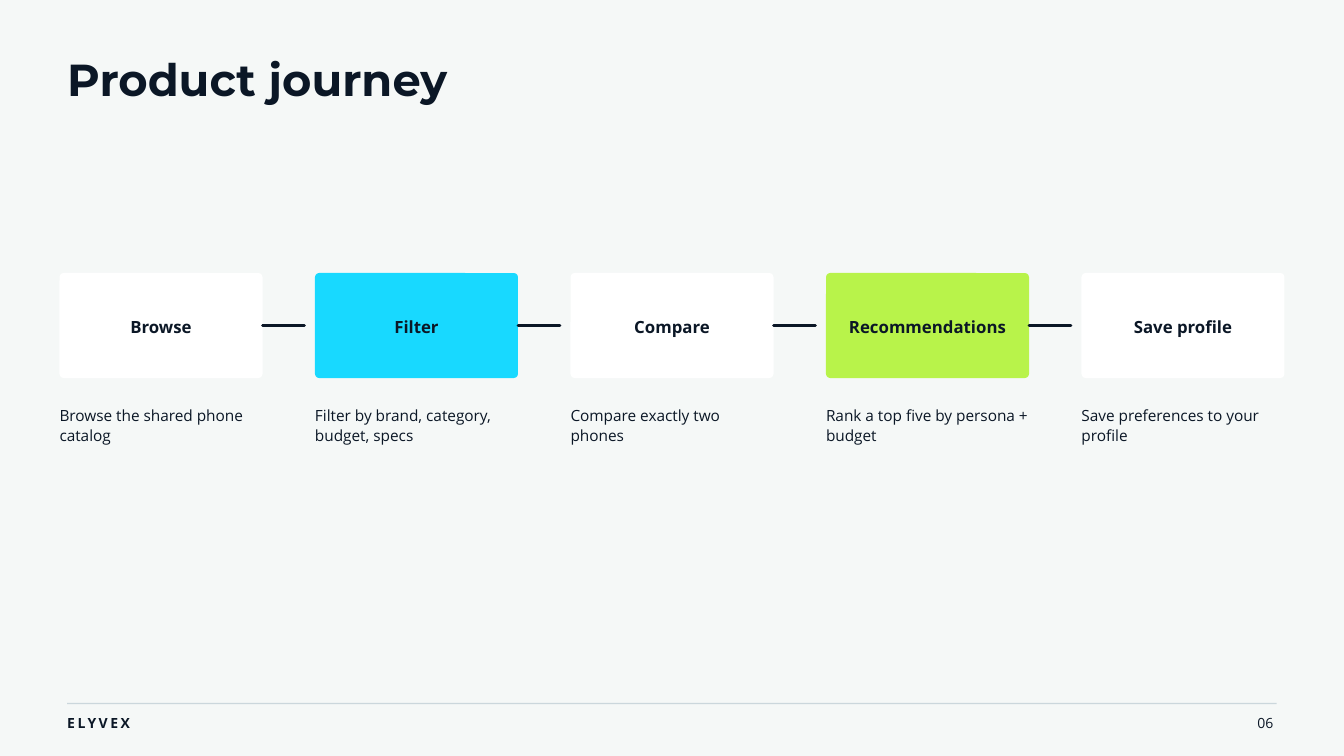
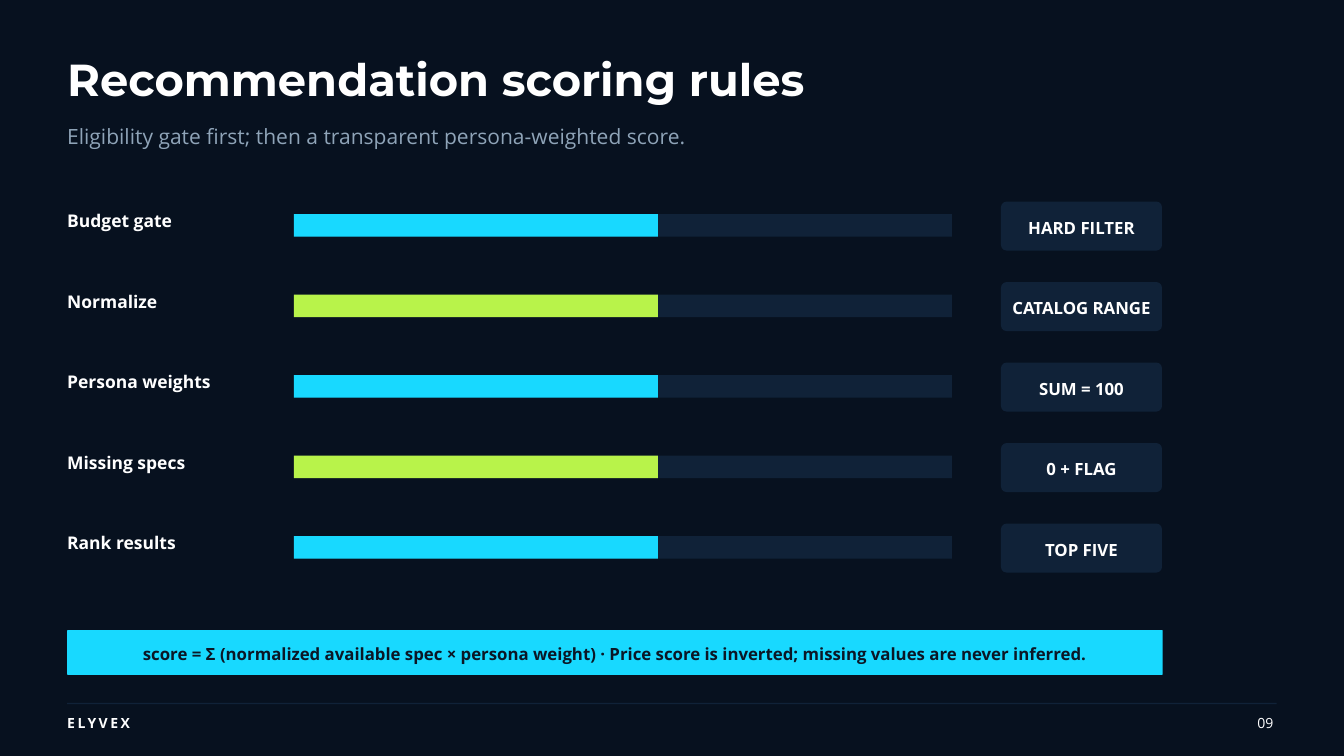
from dataclasses import dataclass
from typing import NamedTuple

from lxml.etree import SubElement
from pptx import Presentation
from pptx.dml.color import RGBColor
from pptx.enum.shapes import MSO_CONNECTOR, MSO_SHAPE
from pptx.enum.text import MSO_ANCHOR, MSO_AUTO_SIZE, PP_ALIGN
from pptx.oxml.ns import qn
from pptx.util import Pt

PX = 9525  # EMU in one px, 96 px to the inch


class Box(NamedTuple):
    """A region in px."""
    left: int
    top: int
    width: int
    height: int

    def inner(self, left, top, width, height):
        """Return a box placed from this box's top left corner."""
        return Box(self.left + left, self.top + top, width, height)

    def emu(self):
        return [length * PX for length in self]


@dataclass(frozen=True)
class Style:
    size: float
    leading: float
    bold: bool = False
    font: str = "Open Sans"
    tracking: float = 0


@dataclass(frozen=True)
class Mode:
    """The colours of a light or dark slide."""
    ground: str
    ink: str
    rule: str


class Theme:
    ink = "0B1726"
    white = "FFFFFF"
    cyan = "18D9FF"
    lime = "B8F34A"
    navy = "102238"
    muted = "8FA4B8"
    light = Mode("F5F8F7", ink, "CBD7DC")
    dark = Mode("07111F", white, navy)

    title = Style(48, 49, True, "Montserrat")
    subtitle = Style(22.5, 29.2)
    row = Style(18.75, 24.4, True)
    label = Style(18, 25.2, True)
    caption = Style(16.5, 21.4)
    brand = Style(15, 21, True, tracking=2.7)
    number = Style(15, 21)


PAGE = Box(0, 0, 1920, 1080)
HEADER = Box(96, 86, 1500, 125)
FOOTER = Box(96, 1004, 1728, 40)
JOURNEY = Box(85, 390, 1750, 244)
RULES = Box(96, 288, 1565, 530)
FORMULA = Box(96, 900, 1565, 64)

STEPS = [
    ("Browse", "Browse the shared phone catalog", Theme.white),
    ("Filter", "Filter by brand, category, budget, specs", Theme.cyan),
    ("Compare", "Compare exactly two phones", Theme.white),
    ("Recommendations", "Rank a top five by persona + budget", Theme.lime),
    ("Save profile", "Save preferences to your profile", Theme.white),
]
SCORING = [
    ("Budget gate", "HARD FILTER"),
    ("Normalize", "CATALOG RANGE"),
    ("Persona weights", "SUM = 100"),
    ("Missing specs", "0 + FLAG"),
    ("Rank results", "TOP FIVE"),
]


def write(frame, text, style, color, align, inset=0):
    """Fill a text frame with one styled paragraph."""
    frame.word_wrap = True
    frame.margin_left = frame.margin_right = inset * PX
    frame.margin_top = frame.margin_bottom = inset * PX
    para = frame.paragraphs[0]
    para.alignment = align
    para.line_spacing = Pt(style.leading)
    para.font.name = style.font
    para.font.size = Pt(style.size)
    para.font.bold = style.bold
    para.font.color.rgb = RGBColor.from_string(color)
    span = para.add_run()
    span.text = text
    if style.tracking:
        span._r.get_or_add_rPr().set("spc", str(round(style.tracking * 100)))


def add_text(page, box, text, style, color, align=PP_ALIGN.LEFT):
    frame = page.shapes.add_textbox(*box.emu()).text_frame
    frame.auto_size = MSO_AUTO_SIZE.SHAPE_TO_FIT_TEXT
    write(frame, text, style, color, align)


def add_block(page, box, fill, radius=0):
    """Add a plain rectangle, rounded if a radius is given."""
    kind = MSO_SHAPE.ROUNDED_RECTANGLE if radius else MSO_SHAPE.RECTANGLE
    block = page.shapes.add_shape(kind, *box.emu())
    if radius:
        block.adjustments[0] = radius / min(box.width, box.height)
    block.shadow.inherit = False
    block.fill.solid()
    block.fill.fore_color.rgb = RGBColor.from_string(fill)
    block.line.fill.background()
    return block


def add_label(page, box, text, fill, color, radius):
    """Add a block with a centred label."""
    frame = add_block(page, box, fill, radius).text_frame
    frame.vertical_anchor = MSO_ANCHOR.MIDDLE
    write(frame, text, Theme.label, color, PP_ALIGN.CENTER, inset=6)


def add_link(page, left, top, length):
    """Add a horizontal line with round ends."""
    x, y = left * PX, top * PX
    link = page.shapes.add_connector(
        MSO_CONNECTOR.STRAIGHT, x, y, x + length * PX, y)
    link.line.width = Pt(3)
    link.line.color.rgb = RGBColor.from_string(Theme.ink)
    outline = link._element.spPr
    outline.find(qn("a:ln")).set("cap", "rnd")
    SubElement(outline, qn("a:effectLst"))


def add_header(page, box, mode, title, subtitle=None):
    add_text(page, box.inner(0, 0, box.width, 66), title,
             Theme.title, mode.ink)
    if subtitle:
        add_text(page, box.inner(0, 87, 1050, 38), subtitle,
                 Theme.subtitle, Theme.muted)


def add_footer(page, box, mode, number):
    add_block(page, box.inner(0, 0, box.width, 2), mode.rule)
    add_text(page, box.inner(0, 13, 260, 27), "ELYVEX", Theme.brand, mode.ink)
    add_text(page, box.inner(box.width - 84, 13, 79, 27), number,
             Theme.number, mode.ink, PP_ALIGN.RIGHT)


def add_journey(page, box, steps):
    """Set the steps in a row of linked cards with captions below."""
    width, height = 290, 150
    pitch = (box.width - width) // (len(steps) - 1)
    for index, (name, caption, fill) in enumerate(steps):
        card = box.inner(index * pitch, 0, width, height)
        add_label(page, card, name, fill, Theme.ink, radius=6)
        if index < len(steps) - 1:
            add_link(page, card.left + width, card.top + height // 2, 60)
        add_text(page, card.inner(0, 188, width, 56), caption,
                 Theme.caption, Theme.ink)


def add_rules(page, box, rules):
    """Set each rule as a row of name, bar and tag."""
    height = 70
    pitch = (box.height - height) // (len(rules) - 1)
    for index, (name, tag) in enumerate(rules):
        row = box.inner(0, index * pitch, box.width, height)
        add_text(page, row.inner(0, 10, 300, 32), name, Theme.row, Theme.white)
        add_block(page, row.inner(324, 18, 940, 32), Theme.navy)
        add_block(page, row.inner(324, 18, 520, 32),
                  (Theme.cyan, Theme.lime)[index % 2])
        add_label(page, row.inner(row.width - 231, 0, 230, height), tag,
                  Theme.navy, Theme.white, radius=8)


def add_page(deck, mode, number, title, subtitle=None):
    """Add a blank slide with its ground, header and footer."""
    page = deck.slides.add_slide(deck.slide_layouts[6])
    page.background.fill.solid()
    page.background.fill.fore_color.rgb = RGBColor.from_string(mode.ground)
    add_header(page, HEADER, mode, title, subtitle)
    add_footer(page, FOOTER, mode, number)
    return page


def build_journey(deck):
    page = add_page(deck, Theme.light, "06", "Product journey")
    add_journey(page, JOURNEY, STEPS)


def build_scoring(deck):
    page = add_page(
        deck, Theme.dark, "09", "Recommendation scoring rules",
        "Eligibility gate first; then a transparent persona-weighted score.")
    add_rules(page, RULES, SCORING)
    add_label(
        page, FORMULA,
        "score = Σ (normalized available spec × persona weight) · "
        "Price score is inverted; missing values are never inferred.",
        Theme.cyan, Theme.ink, radius=1)


def main():
    deck = Presentation()
    deck.slide_width = PAGE.width * PX
    deck.slide_height = PAGE.height * PX
    build_journey(deck)
    build_scoring(deck)
    deck.save("out.pptx")


if __name__ == "__main__":
    main()
